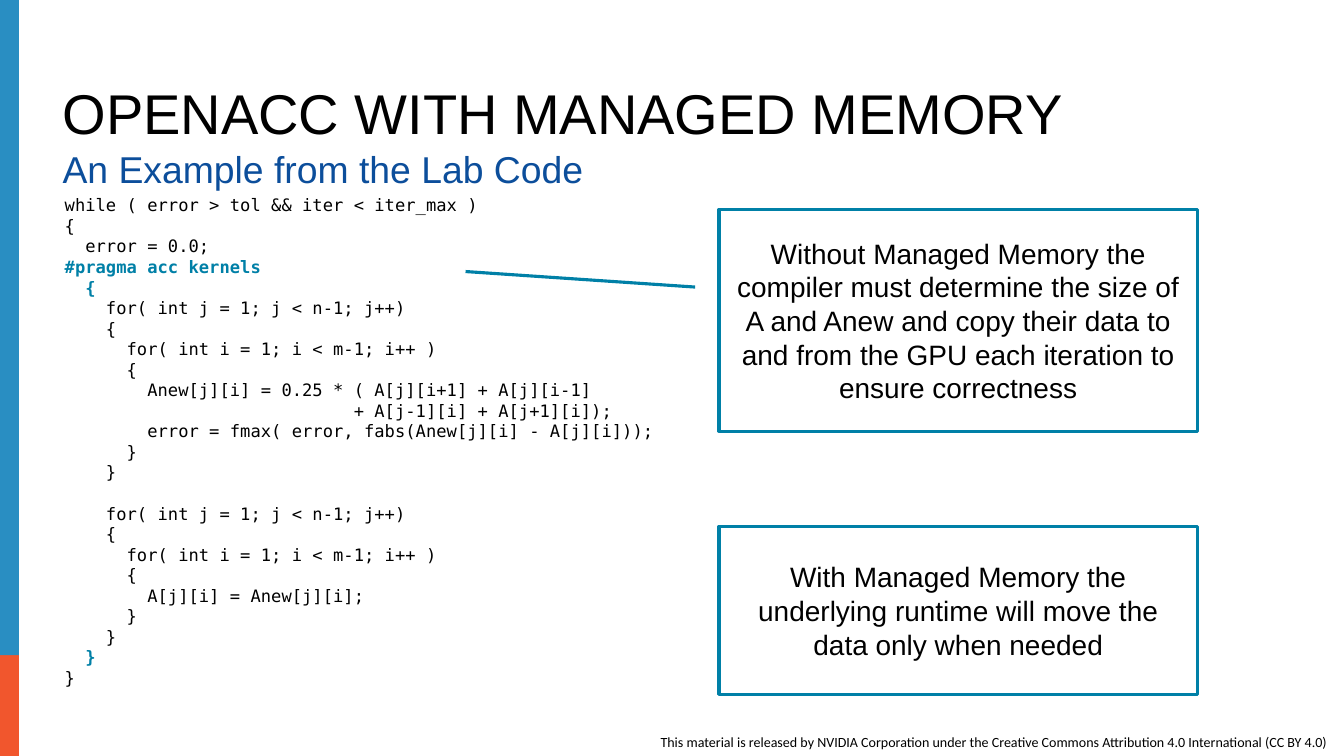
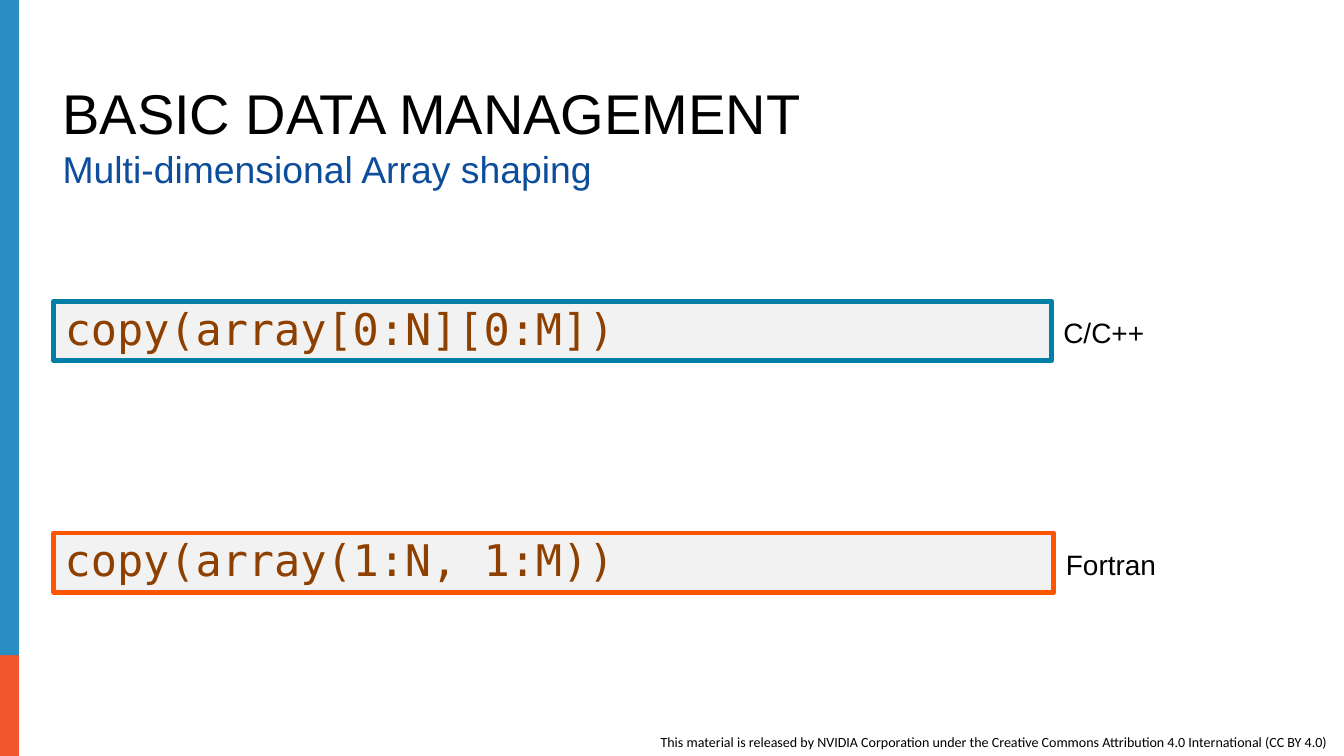
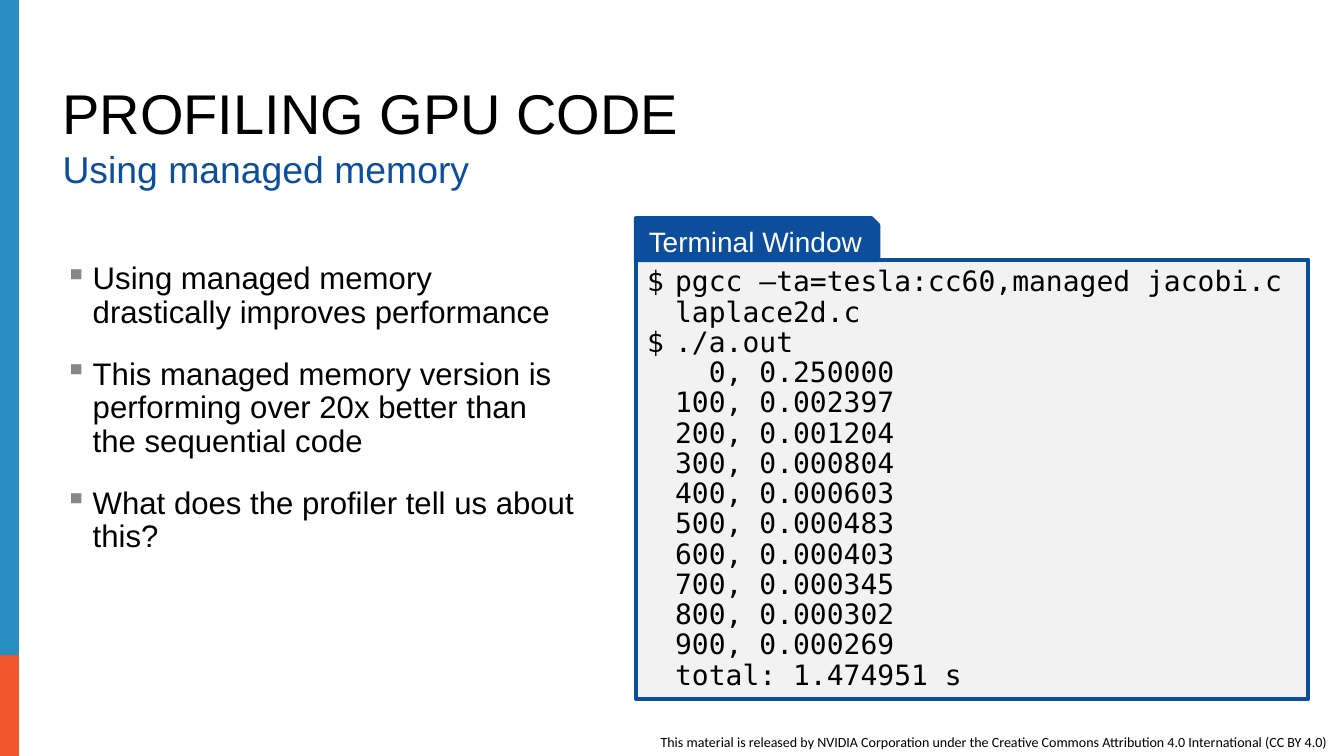
import pptx
import pptx.util
import pptx.dml.color
import pptx.enum.shapes
import pptx.enum.text
import pptx.oxml.ns
from lxml import etree

Inches = pptx.util.Inches
Pt = pptx.util.Pt
RGBColor = pptx.dml.color.RGBColor
SHAPE = pptx.enum.shapes.MSO_SHAPE
ALIGN = pptx.enum.text.PP_ALIGN
ANCHOR = pptx.enum.text.MSO_ANCHOR
qn = pptx.oxml.ns.qn

BLACK = RGBColor(0x00, 0x00, 0x00)
WHITE = RGBColor(0xFF, 0xFF, 0xFF)
PALE = RGBColor(0xF2, 0xF2, 0xF2)
GREY = RGBColor(0x86, 0x86, 0x86)
NAVY = RGBColor(0x0C, 0x4E, 0x9B)
TEAL = RGBColor(0x00, 0x80, 0xA7)
FLAME = RGBColor(0xFF, 0x54, 0x00)
BROWN = RGBColor(0x8E, 0x40, 0x00)
BLUE = RGBColor(0x29, 0x8E, 0xC2)
RED = RGBColor(0xF1, 0x56, 0x2D)

SANS = "Arial"
MONO = "DejaVu Sans Mono"
NOTICE = ("This material is released by NVIDIA Corporation under the Creative "
          "Commons Attribution 4.0 International (CC BY 4.0)")

LOOP = """\
while ( error > tol && iter < iter_max )
{
  error = 0.0;
#pragma acc kernels
  {
    for( int j = 1; j < n-1; j++)
    {
      for( int i = 1; i < m-1; i++ )
      {
        Anew[j][i] = 0.25 * ( A[j][i+1] + A[j][i-1]
                            + A[j-1][i] + A[j+1][i]);
        error = fmax( error, fabs(Anew[j][i] - A[j][i]));
      }
    }

    for( int j = 1; j < n-1; j++)
    {
      for( int i = 1; i < m-1; i++ )
      {
        A[j][i] = Anew[j][i];
      }
    }
  }
}""".split("\n")
MARKED = {"#pragma acc kernels", "  {", "  }"}

POINTS = [
    "Using managed memory drastically improves performance",
    "This managed memory version is performing over 20x better than the sequential code",
    "What does the profiler tell us about this?",
]
SHELL = [
    "$\tpgcc –ta=tesla:cc60,managed jacobi.c laplace2d.c",
    "$\t./a.out",
    "\t  0, 0.250000",
    "\t100, 0.002397",
    "\t200, 0.001204",
    "\t300, 0.000804",
    "\t400, 0.000603",
    "\t500, 0.000483",
    "\t600, 0.000403",
    "\t700, 0.000345",
    "\t800, 0.000302",
    "\t900, 0.000269",
    "\ttotal: 1.474951 s",
]


def place(box):
    return [Inches(n) for n in box]


def write(shape, lines, size, color=BLACK, font=SANS, align=ALIGN.LEFT,
          anchor=ANCHOR.TOP, pitch=None, gap=0, hang=0, bullet=None,
          marked=(), wrap=True):
    """Fill a shape with one paragraph per line; marked lines are bold teal."""
    frame = shape.text_frame
    frame.word_wrap = wrap
    frame.vertical_anchor = anchor
    for i, line in enumerate(lines):
        para = frame.paragraphs[0] if i == 0 else frame.add_paragraph()
        if hang:
            indent(para, hang, bullet)
        para.alignment = align
        para.line_spacing = pitch
        if gap:
            para.space_after = Pt(gap)
            if i:
                para.space_before = Pt(gap)
        para.font.size = Pt(size)
        para.font.name = font
        if line:
            run = para.add_run()
            run.text = line
            run.font.size = Pt(size)
            run.font.name = font
            run.font.bold = line in marked
            run.font.color.rgb = TEAL if line in marked else color


def indent(para, hang, bullet):
    props = para._p.get_or_add_pPr()
    props.set("marL", str(Inches(hang)))
    props.set("indent", str(-Inches(hang)))
    if bullet:
        tint = etree.SubElement(props, qn("a:buClr"))
        etree.SubElement(tint, qn("a:srgbClr"), val=str(GREY))
        etree.SubElement(props, qn("a:buChar"), char=bullet)


def label(slide, box, lines, size, **style):
    write(slide.shapes.add_textbox(*place(box)), lines, size, **style)


def panel(slide, box, fill, edge=None, width=0, kind=SHAPE.RECTANGLE):
    shape = slide.shapes.add_shape(kind, *place(box))
    shape.shadow.inherit = False
    shape.fill.solid()
    shape.fill.fore_color.rgb = fill
    if edge is None:
        shape.line.fill.background()
    else:
        shape.line.color.rgb = edge
        shape.line.width = Pt(width)
    return shape


def start(deck, title, topic):
    """Add a slide with the side band, notice, title and subtitle."""
    slide = deck.slides.add_slide(deck.slide_layouts[6])
    label(slide, (5.8, 6.5, 6.76, 0.25), [NOTICE], 9, font="Calibri")
    panel(slide, (-0.03, 5.07, 0.2, 1.68), RED)
    panel(slide, (-0.03, 0, 0.2, 5.85), BLUE)
    label(slide, (0.46, 0.71, 10.91, 0.65), [title], 36,
          anchor=ANCHOR.BOTTOM, pitch=0.9)
    label(slide, (0.46, 1.3, 10.91, 0.57), [topic], 24, color=NAVY,
          pitch=0.9, gap=9)
    return slide


def remark(slide, box, text, kind=SHAPE.RECTANGLE):
    shape = panel(slide, box, WHITE, TEAL, 2, kind)
    write(shape, [text], 18, align=ALIGN.CENTER, anchor=ANCHOR.MIDDLE)
    return shape


def sample(slide, box, code, name, edge, span):
    """Draw a framed line of code with its language to the right."""
    left, top, width, height = box
    write(panel(slide, box, PALE, edge, 3), [code], 28, color=BROWN,
          font=MONO, anchor=ANCHOR.MIDDLE, pitch=0.9)
    label(slide, (left + width, top + 0.11, span, 0.37), [name], 18,
          align=ALIGN.CENTER, anchor=ANCHOR.MIDDLE, pitch=0.9, wrap=False)


def console(slide, box, lines):
    """Draw a terminal whose tab stands on the top edge of the box."""
    left, top, width, height = box
    write(panel(slide, box, PALE, NAVY, 3), lines, 18, font=MONO,
          anchor=ANCHOR.MIDDLE, pitch=0.9, hang=0.25)
    tab = panel(slide, (left, top - 0.37, 2.16, 0.37), NAVY, NAVY, 3,
                SHAPE.SNIP_1_RECTANGLE)
    write(tab, ["Terminal Window"], 18, color=WHITE, align=ALIGN.CENTER,
          anchor=ANCHOR.MIDDLE)


def managed(deck):
    slide = start(deck, "OPENACC WITH MANAGED MEMORY",
                  "An Example from the Lab Code")
    label(slide, (0.48, 1.69, 5.67, 4.67), LOOP, 11, font=MONO, marked=MARKED)
    callout = remark(
        slide, (6.42, 1.87, 4.27, 1.98),
        "Without Managed Memory the compiler must determine the size of A and "
        "Anew and copy their data to and from the GPU each iteration to ensure "
        "correctness", SHAPE.LINE_CALLOUT_1)
    for i, value in enumerate((0.35, -0.05, 0.28, -0.53)):
        callout.adjustments[i] = value
    remark(slide, (6.42, 4.7, 4.27, 1.5),
           "With Managed Memory the underlying runtime will move the data only "
           "when needed")


def arrays(deck):
    slide = start(deck, "BASIC DATA MANAGEMENT",
                  "Multi-dimensional Array shaping")
    sample(slide, (0.48, 4.76, 8.93, 0.53), "copy(array(1:N, 1:M))",
           "Fortran", FLAME, 1.02)
    sample(slide, (0.48, 2.69, 8.91, 0.53), "copy(array[0:N][0:M])",
           "C/C++", TEAL, 0.93)


def profile(deck):
    slide = start(deck, "PROFILING GPU CODE", "Using managed memory")
    label(slide, (0.48, 2.3, 4.76, 4.07), POINTS, 20, pitch=0.9, gap=9,
          hang=0.25, bullet="▪")
    console(slide, (5.68, 2.32, 6, 3.92), SHELL)


def main():
    deck = pptx.Presentation()
    deck.slide_width = Inches(12)
    deck.slide_height = Inches(6.75)
    managed(deck)
    arrays(deck)
    profile(deck)
    deck.save("out.pptx")


if __name__ == "__main__":
    main()
